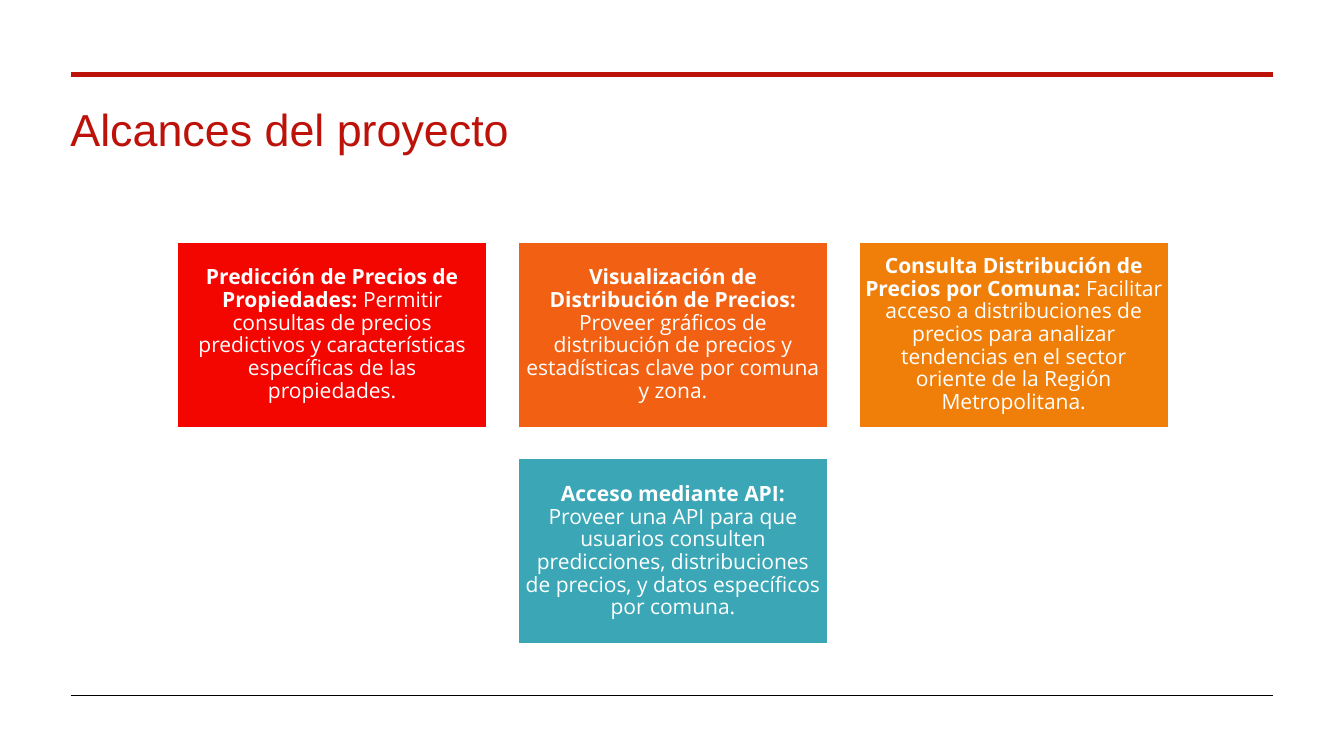
from dataclasses import dataclass

from pptx import Presentation
from pptx.dml.color import RGBColor
from pptx.enum.shapes import MSO_CONNECTOR, MSO_SHAPE
from pptx.enum.text import MSO_ANCHOR, PP_ALIGN
from pptx.oxml.ns import qn
from pptx.util import Pt

EMU_PER_PX = 9144  # 100 px to the inch
RECTANGLE = MSO_SHAPE.RECTANGLE
STRAIGHT = MSO_CONNECTOR.STRAIGHT
TOP, MIDDLE = MSO_ANCHOR.TOP, MSO_ANCHOR.MIDDLE
LEFT, CENTER = PP_ALIGN.LEFT, PP_ALIGN.CENTER


@dataclass(frozen=True)
class Theme:
    accent: str = "BD1209"
    footer_rule: str = "000000"
    white: str = "FFFFFF"
    title_font: str = "Arial"
    card_font: str = "Open Sans"
    title_size: int = 32
    card_size: int = 15
    top_rule_width: float = 3
    footer_rule_width: float = 0.75
    card_border_width: float = 1


THEME = Theme()
SLIDE_SIZE = (1333, 750)
RULE_SPAN = (70, 1263)
TITLE_BOX = (60, 104, 828, 100)
CARDS_BOX = (176, 240, 983, 399)
CARD_SIZE = (307, 184)
CARD_GAP = 31

# Rows of cards: fill, heading, description
SCOPE_ROWS = [
    [
        ("F40600", "Predicción de Precios de Propiedades:",
         "Permitir consultas de precios predictivos y características "
         "específicas de las propiedades."),
        ("F26113", "Visualización de Distribución de Precios:",
         "Proveer gráficos de distribución de precios y estadísticas clave "
         "por comuna y zona."),
        ("F07F0A", "Consulta Distribución de Precios por Comuna:",
         "Facilitar acceso a distribuciones de precios para analizar "
         "tendencias en el sector oriente de la Región Metropolitana."),
    ],
    [
        ("3BA7B6", "Acceso mediante API:",
         "Proveer una API para que usuarios consulten predicciones, "
         "distribuciones de precios, y datos específicos por comuna."),
    ],
]


def px(*lengths):
    return [length * EMU_PER_PX for length in lengths]


def set_attributes(target, values):
    for name, value in values.items():
        setattr(target, name, value)


def write_paragraph(frame, runs, font, size, color, align, line_spacing):
    """Write (text, bold) runs into the first paragraph of the frame."""
    paragraph = frame.paragraphs[0]
    set_attributes(paragraph, {"alignment": align, "line_spacing": line_spacing})
    for text, bold in runs:
        run = paragraph.add_run()
        run.text = text
        set_attributes(run.font, {"name": font, "size": Pt(size), "bold": bold})
        run.font.color.rgb = RGBColor.from_string(color)


def set_frame(frame, anchor, side, end):
    side, end = px(side, end)
    set_attributes(frame, {
        "word_wrap": True, "vertical_anchor": anchor,
        "margin_left": side, "margin_right": side,
        "margin_top": end, "margin_bottom": end,
    })


def add_rule(slide, span, y, color, width):
    start, end = span
    rule = slide.shapes.add_connector(STRAIGHT, *px(start, y, end, y))
    rule.line.color.rgb = RGBColor.from_string(color)
    rule.line.width = Pt(width)
    properties = rule._element.spPr
    properties.append(properties.makeelement(qn("a:effectLst"), {}))


def add_title(slide, box, text):
    frame = slide.shapes.add_textbox(*px(*box)).text_frame
    set_frame(frame, TOP, 10, 5)
    write_paragraph(frame, [(text, False)], THEME.title_font,
                    THEME.title_size, THEME.accent, LEFT, 0.85)


def add_card(slide, box, fill, heading, description):
    card = slide.shapes.add_shape(RECTANGLE, *px(*box))
    card.shadow.inherit = False
    card.fill.solid()
    card.fill.fore_color.rgb = RGBColor.from_string(fill)
    card.line.color.rgb = RGBColor.from_string(THEME.white)
    card.line.width = Pt(THEME.card_border_width)
    set_frame(card.text_frame, MIDDLE, 6, 6)
    write_paragraph(card.text_frame, [(heading, True), (" " + description, False)],
                    THEME.card_font, THEME.card_size, THEME.white, CENTER, 0.9)


def add_card_rows(slide, box, rows):
    """Stack the rows from the top of the box, each centred across it."""
    left, top, width, _ = box
    card_width, card_height = CARD_SIZE
    for row_index, row in enumerate(rows):
        row_width = len(row) * (card_width + CARD_GAP) - CARD_GAP
        row_left = left + (width - row_width) // 2
        y = top + row_index * (card_height + CARD_GAP)
        for column, card in enumerate(row):
            x = row_left + column * (card_width + CARD_GAP)
            add_card(slide, (x, y, card_width, card_height), *card)


def main():
    deck = Presentation()
    deck.slide_width, deck.slide_height = px(*SLIDE_SIZE)
    slide = deck.slides.add_slide(deck.slide_layouts[6])
    add_title(slide, TITLE_BOX, "Alcances del proyecto")
    add_rule(slide, RULE_SPAN, 74, THEME.accent, THEME.top_rule_width)
    add_rule(slide, RULE_SPAN, 690, THEME.footer_rule, THEME.footer_rule_width)
    add_card_rows(slide, CARDS_BOX, SCOPE_ROWS)
    deck.save("out.pptx")


if __name__ == "__main__":
    main()
